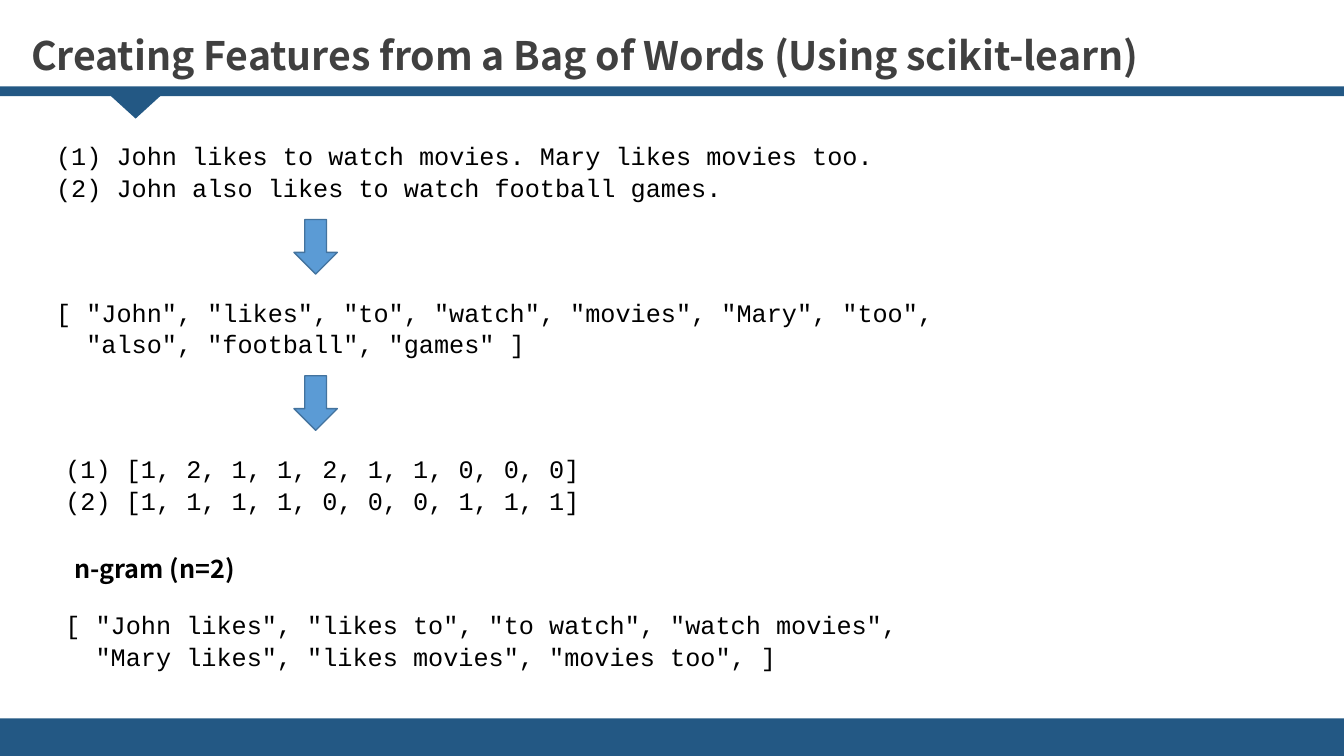
from lxml import etree
from pptx import Presentation
from pptx.dml.color import RGBColor
from pptx.enum.shapes import MSO_SHAPE
from pptx.enum.text import MSO_ANCHOR, MSO_AUTO_SIZE, PP_ALIGN
from pptx.oxml.ns import qn
from pptx.util import Pt

RECTANGLE, TRIANGLE = MSO_SHAPE.RECTANGLE, MSO_SHAPE.ISOSCELES_TRIANGLE
DOWN_ARROW = MSO_SHAPE.DOWN_ARROW
LEFT, MIDDLE, TOP = PP_ALIGN.LEFT, MSO_ANCHOR.MIDDLE, MSO_ANCHOR.TOP
NO_FIT = MSO_AUTO_SIZE.NONE

COLORS = {"band": "235884", "title": "404040", "title_edge": "262626",
          "text": "000000", "arrow": "5B9BD5", "arrow_edge": "43739E"}
CODE_FONT, HEADING_FONT = "Courier New", "Noto Sans CJK KR"
WIDTH, HEIGHT = 960, 540
CODE_SIZE = 18
CODE_INDENT = 2 * 0.6 * CODE_SIZE  # two characters of the code font
CODE_HEIGHT, STEP = 51, 111.6      # block height, distance between blocks
FIRST_TOP = 95.8

# Left, width and lines of each code block; None keeps the row for a heading
SENTENCES = (33, 619, ["(1) John likes to watch movies. Mary likes movies too.",
                       "(2) John also likes to watch football games."])
VOCABULARY = (33, 657, ['[ "John", "likes", "to", "watch", "movies", "Mary", "too",',
                        '"also", "football", "games" ]'])
COUNTS = (39.6, 480, ["(1) [1, 2, 1, 1, 2, 1, 1, 0, 0, 0]",
                      "(2) [1, 1, 1, 1, 0, 0, 0, 1, 1, 1]"])
BIGRAMS = (39.6, 678, ['[ "John likes", "likes to", "to watch", "watch movies",',
                       '"Mary likes", "likes movies", "movies too", ]'])


def add_shape(page, kind, box, fill, edge=None):
    shape = page.shapes.add_shape(kind, *[Pt(value) for value in box])
    shape.shadow.inherit = False
    shape.fill.solid()
    shape.fill.fore_color.rgb = RGBColor.from_string(COLORS[fill])
    if edge:
        shape.line.color.rgb = RGBColor.from_string(COLORS[edge])
        shape.line.width = Pt(1)
    else:
        shape.line.fill.background()
    return shape


def write(para, text, *, font, size, color="text", bold=False, indent=0):
    para.alignment = LEFT
    if indent:
        properties = para._p.get_or_add_pPr()
        properties.set("marL", str(Pt(indent)))
        properties.set("indent", "0")
    span = para.add_run()
    span.text = text
    span.font.name = font
    span.font.size = Pt(size)
    span.font.bold = bold
    span.font.color.rgb = RGBColor.from_string(COLORS[color])
    return span


def place_frame(shape, box, anchor=TOP, wrap=True):
    shape.left, shape.top, shape.width, shape.height = [Pt(value) for value in box]
    frame = shape.text_frame
    frame.auto_size = NO_FIT
    frame.word_wrap = wrap
    frame.vertical_anchor = anchor
    return frame


def outline_text(span, color, width, opacity):
    line = etree.Element(qn("a:ln"), w=str(Pt(width)))
    fill = etree.SubElement(line, qn("a:solidFill"))
    shade = etree.SubElement(fill, qn("a:srgbClr"), val=COLORS[color])
    etree.SubElement(shade, qn("a:alpha"), val=str(opacity * 1000))
    span.font._element.insert(0, line)


def add_bands(page, box):
    left, top, width, height = box
    add_shape(page, RECTANGLE, (left, top + height - 26.8, width, 26.8), "band")
    add_shape(page, RECTANGLE, (left, top + 61.7, width, 7), "band")
    pointer = add_shape(page, TRIANGLE, (left + 75.6, top + 65.3, 42.5, 19.4), "band")
    pointer.rotation = 180


def add_title(page, box):
    frame = place_frame(page.shapes.title, box, MIDDLE, wrap=False)
    span = write(frame.paragraphs[0],
                 "Creating Features from a Bag of Words (Using scikit-learn)",
                 font=HEADING_FONT, size=28, color="title", bold=True)
    outline_text(span, "title_edge", 0.75, 15)


def add_code(page, box, lines):
    frame = place_frame(page.shapes.add_textbox(0, 0, 0, 0), box)
    for number, text in enumerate(lines):
        para = frame.paragraphs[0] if number == 0 else frame.add_paragraph()
        para.line_spacing = 1.05
        # A line that continues a list is set in under its first item
        indent = CODE_INDENT if text.startswith('"') else 0
        write(para, text, font=CODE_FONT, size=CODE_SIZE, indent=indent)


def add_heading(page, box, text):
    frame = place_frame(page.shapes.add_textbox(0, 0, 0, 0), box, MIDDLE, wrap=False)
    write(frame.paragraphs[0], text, font=HEADING_FONT, size=18, bold=True)


def add_steps(page, top):
    blocks = [SENTENCES, VOCABULARY, COUNTS, BIGRAMS]
    for number, (left, width, lines) in enumerate(blocks):
        block_top = top + number * STEP
        add_code(page, (left, block_top, width, CODE_HEIGHT), lines)
        # An arrow leads on from the sentences and from the vocabulary
        if number < 2:
            add_shape(page, DOWN_ARROW, (210, block_top + 61, 31, 39),
                      "arrow", "arrow_edge")
    add_heading(page, (46, top + 3 * STEP - 41, 132.5, 33), "n-gram (n=2)")


def main():
    deck = Presentation()
    deck.slide_width, deck.slide_height = Pt(WIDTH), Pt(HEIGHT)
    page = deck.slides.add_slide(deck.slide_layouts[5])
    add_bands(page, (0, 0, WIDTH, HEIGHT))
    add_title(page, (15, 18.7, 809, 41))
    add_steps(page, FIRST_TOP)
    deck.save("out.pptx")


if __name__ == "__main__":
    main()
